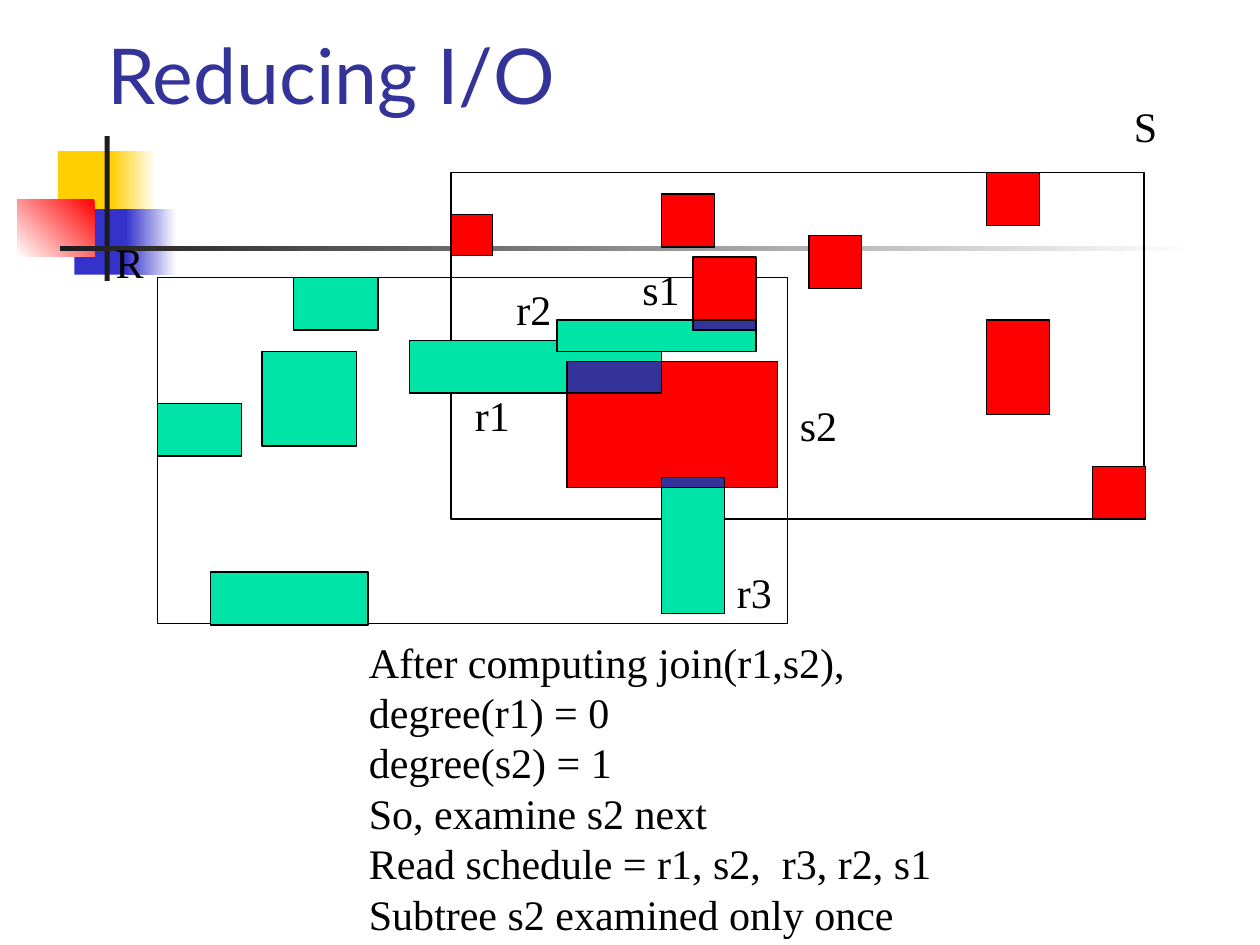
"""Build the "Reducing I/O" slide: overlapping R and S rectangles and a read schedule."""
from pptx import Presentation
from pptx.dml.color import RGBColor
from pptx.enum import shapes, text
from pptx.util import Inches, Pt

BLACK, GREEN, RED, BLUE = "000000", "00E4A8", "FF0000", "333399"


def add_rectangle(box, fill=None, line=None, gradient=None):
    """Add a rectangle with a solid, gradient (start, end, angle) or no fill."""
    shape = slide.shapes.add_shape(shapes.MSO_SHAPE.RECTANGLE, *map(Inches, box))
    shape.shadow.inherit = False
    if gradient:
        start, end, angle = gradient
        shape.fill.gradient()
        shape.fill.gradient_angle = angle
        for stop, colour in zip(shape.fill.gradient_stops, (start, end)):
            stop.color.rgb = RGBColor.from_string(colour)
    elif fill:
        shape.fill.solid()
        shape.fill.fore_color.rgb = RGBColor.from_string(fill)
    else:
        shape.fill.background()
    if line:
        shape.line.color.rgb = RGBColor.from_string(line)
        shape.line.width = Pt(0.75)
    else:
        shape.line.fill.background()


def format_text(frame, font_name, size, colour):
    """Left-align every paragraph and format its runs."""
    for paragraph in frame.paragraphs:
        paragraph.alignment = text.PP_ALIGN.LEFT
        for run in paragraph.runs:
            run.font.name = font_name
            run.font.size = Pt(size)
            run.font.color.rgb = RGBColor.from_string(colour)


presentation = Presentation()
presentation.slide_width, presentation.slide_height = Inches(10), Inches(7.5)
slide = presentation.slides.add_slide(presentation.slide_layouts[5])

title = slide.shapes.title
title.left, title.top, title.width, title.height = map(Inches, (0.75, -0.25, 8.5, 1.25))
title.text_frame.text = "Reducing I/O"
title.text_frame.auto_size = text.MSO_AUTO_SIZE.NONE
title.text_frame.vertical_anchor = text.MSO_ANCHOR.BOTTOM
format_text(title.text_frame, "Lato", 44, BLUE)

decorations = [
    ((0.46, 1.2, 0.48, 0.52), "FFCF01", None),
    ((0.88, 1.2, 0.36, 0.52), None, ("FFFFFF", "FFCF01", 180)),
    ((0.59, 1.66, 0.46, 0.52), "3333CC", None),
    ((1, 1.66, 0.4, 0.52), None, ("FFFFFF", "3333CC", 180)),
    ((0.14, 1.58, 0.61, 0.46), None, ("FF0000", "FFFFFF", 225)),
    ((0.83, 1.08, 0.04, 1.15), "1C1C1C", None),
    ((0.48, 1.95, 9, 0.04), None, ("FFFFFF", "1C1C1C", 180)),
]
for box, fill, gradient in decorations:
    add_rectangle(box, fill, gradient=gradient)

regions = [(1.25, 2.2, 5, 2.75), (3.58, 1.37, 5.5, 2.75)]
r_objects = [
    (1.25, 3.2, 0.67, 0.42), (2.33, 2.2, 0.67, 0.42), (3.25, 2.7, 2, 0.42),
    (2.08, 2.79, 0.75, 0.75), (4.42, 2.54, 1.58, 0.25), (5.25, 3.79, 0.5, 1.08),
    (1.67, 4.54, 1.25, 0.42),
]
s_objects = [
    (5.25, 1.54, 0.42, 0.42), (4.5, 2.87, 1.67, 1), (5.5, 2.04, 0.5, 0.58),
    (3.58, 1.7, 0.33, 0.33), (6.42, 1.87, 0.42, 0.42), (7.83, 1.37, 0.42, 0.42),
    (7.83, 2.54, 0.5, 0.75), (8.67, 3.7, 0.42, 0.42),
]
intersections = [(5.5, 2.54, 0.5, 0.08), (4.5, 2.87, 0.75, 0.25), (5.25, 3.79, 0.5, 0.08)]
for boxes, fill in ((regions, None), (r_objects, GREEN), (s_objects, RED), (intersections, BLUE)):
    for box in boxes:
        add_rectangle(box, fill, BLACK)

explanation = "\n".join([
    "After computing join(r1,s2),",
    "degree(r1) = 0",
    "degree(s2) = 1",
    "So, examine s2 next",
    "Read schedule = r1, s2,  r3, r2, s1",
    "Subtree s2 examined only once",
])
labels = [
    ("R", 0.82, 1.83, 0.42, 0.5),
    ("S", 8.9, 0.75, 0.38, 0.5),
    ("r1", 3.67, 3.04, 0.48, 0.5),
    ("r2", 4, 2.2, 0.48, 0.5),
    ("r3", 5.75, 4.45, 0.48, 0.5),
    ("s1", 5, 2.04, 0.51, 0.5),
    ("s2", 6.25, 3.12, 0.51, 0.5),
    (explanation, 2.83, 5, 4.7, 2.5),
]
for wording, *box in labels:
    frame = slide.shapes.add_textbox(*map(Inches, box)).text_frame
    frame.word_wrap = False
    frame.auto_size = text.MSO_AUTO_SIZE.SHAPE_TO_FIT_TEXT
    frame.text = wording
    format_text(frame, "Times New Roman", 24, BLACK)

presentation.save("out.pptx")
